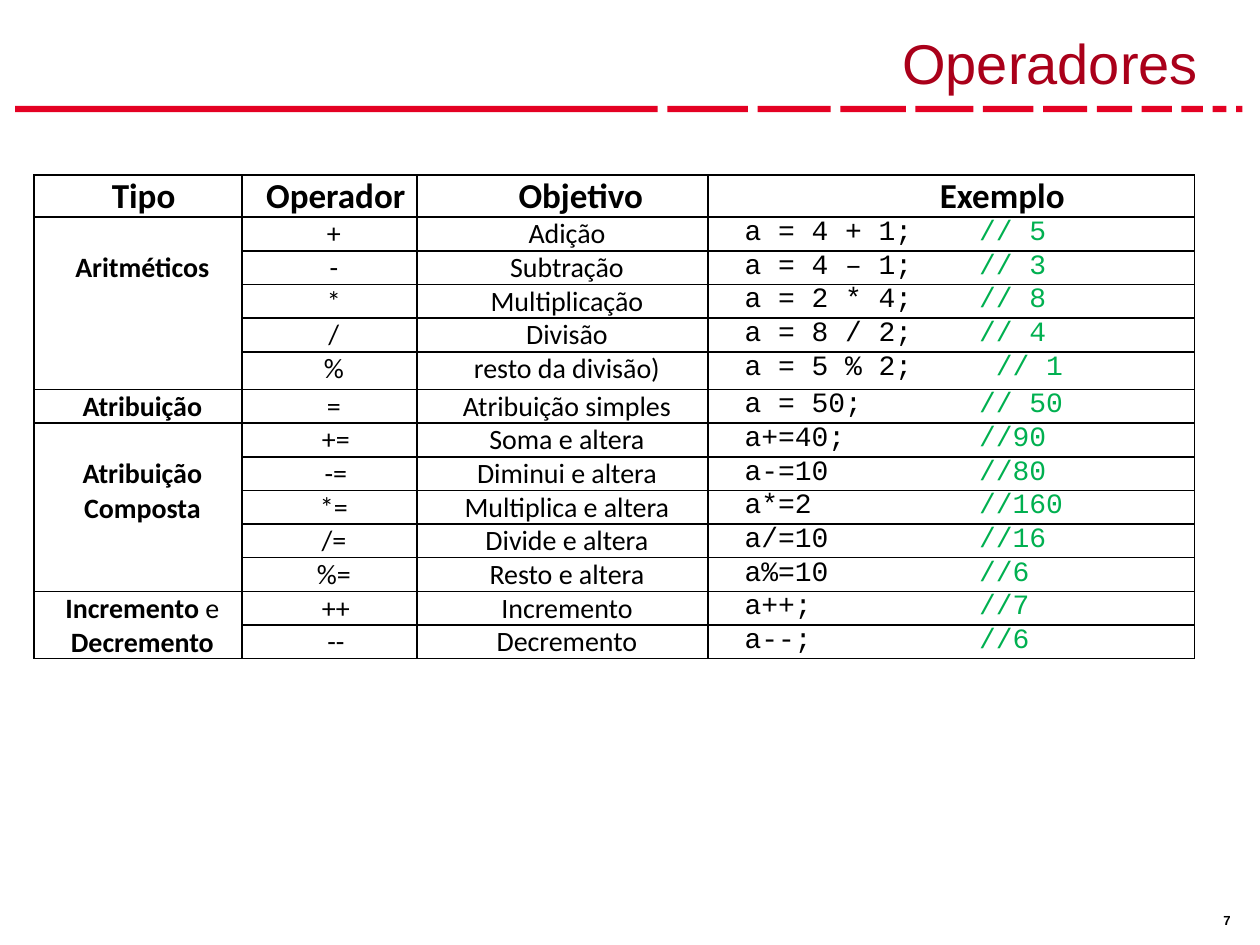
from lxml import etree
from pptx import Presentation
from pptx.oxml.ns import qn
from pptx.dml.color import RGBColor
from pptx.util import Inches, Pt
from pptx.enum import shapes, text

COLORS = {"ink": "000000", "paper": "FFFFFF", "bar": "E40123",
          "title": "AA001A", "comment": "00B050"}
COLUMNS, ROWS = 100, 75  # square grid over the slide
WIDTH, HEIGHT = Inches(10), Inches(7.5)

HEADINGS = ["Tipo", "Operador", "Objetivo", "Exemplo"]
HEADING_INDENTS = [0.9, 1, 2.9, 8.1]
COLUMN_SHARES = [16.5, 13.9, 23.1, 38.6]
CODE_WIDTH = 14  # characters before the comment

# Type runs (text, bold), empty lines above, operators of that type
GROUPS = [
    ([("Aritméticos", True)], 1, [
        ("+", "Adição", "a = 4 + 1;", "// 5"),
        ("-", "Subtração", "a = 4 – 1;", "// 3"),
        ("*", "Multiplicação", "a = 2 * 4;", "// 8"),
        ("/", "Divisão", "a = 8 / 2;", "// 4"),
        ("%", "resto da divisão)", "a = 5 % 2;", " // 1")]),
    ([("Atribuição", True)], 0, [
        ("=", "Atribuição simples", "a = 50;", "// 50")]),
    ([("Atribuição Composta", True)], 1, [
        ("+=", "Soma e altera", "a+=40;", "//90"),
        ("-=", "Diminui e altera", "a-=10", "//80"),
        ("*=", "Multiplica e altera", "a*=2", "//160"),
        ("/=", "Divide e altera", "a/=10", "//16"),
        ("%=", "Resto e altera", "a%=10", "//6")]),
    ([("Incremento ", True), ("e ", False), ("Decremento", True)], 0, [
        ("++", "Incremento", "a++;", "//7"),
        ("--", "Decremento", "a--;", "//6")]),
]


def across(columns):
    return round(WIDTH * columns / COLUMNS)


def down(rows):
    return round(HEIGHT * rows / ROWS)


def place(box):
    left, top, width, height = box
    return across(left), down(top), across(width), down(height)


def rgb(name):
    return RGBColor.from_string(COLORS[name])


def style(font, size, face, color="ink", bold=False):
    font.size, font.name, font.bold = Pt(size), face, bold
    font.color.rgb = rgb(color)


def add_label(slide, box, words, size, color, align, anchor, insets, bold=False):
    frame = slide.shapes.add_textbox(*place(box)).text_frame
    frame.word_wrap = True
    frame.vertical_anchor = anchor
    frame.margin_left, frame.margin_right = map(across, insets[:2])
    frame.margin_top = frame.margin_bottom = down(insets[2])
    line = frame.paragraphs[0]
    line.text, line.alignment = words, align
    style(line.font, size, "Arial", color, bold)


def add_dashes(slide, box):
    """Row of bars that get shorter towards the right, with equal gaps."""
    left, top, width, height = box
    lengths = [51, 6.4, 5.8, 5.2, 4.6, 4, 3.5, 2.8, 2.4, 1.7, 1.1, 0.5]
    gap = (width - sum(lengths)) / (len(lengths) - 1)
    for length in lengths:
        dash = slide.shapes.add_shape(shapes.MSO_SHAPE.RECTANGLE,
                                      *place((left, top, length, height)))
        dash.shadow.inherit = False
        dash.fill.solid()
        dash.fill.fore_color.rgb = rgb("bar")
        dash.line.fill.background()
        left += length + gap


def frame_cell(cell):
    """White cell with thin black borders and no insets."""
    cell.fill.solid()
    cell.fill.fore_color.rgb = rgb("paper")
    cell.margin_left = cell.margin_right = 0
    cell.margin_top = cell.margin_bottom = 0
    properties = cell._tc.get_or_add_tcPr()
    for order, side in enumerate(["lnL", "lnR", "lnT", "lnB"]):
        border = etree.Element(qn(f"a:{side}"), w=str(Pt(1)))
        paint = etree.SubElement(border, qn("a:solidFill"))
        etree.SubElement(paint, qn("a:srgbClr"), val=COLORS["ink"])
        properties.insert(order, border)


def write_cell(cell, runs, indent=0.7, size=16, face="Calibri", centred=True):
    """Runs are (text, bold, color)."""
    cell.margin_left = across(indent)
    line = cell.text_frame.paragraphs[0]
    line.alignment = text.PP_ALIGN.CENTER if centred else text.PP_ALIGN.LEFT
    line.font.size, line.font.name = Pt(size), face
    for words, bold, color in runs:
        run = line.add_run()
        run.text = words
        style(run.font, size, face, color, bold)


def add_operators(slide, box):
    width = box[2]
    count = 1 + sum(len(operators) for _, _, operators in GROUPS)
    table = slide.shapes.add_table(count, len(HEADINGS), *place(box)).table
    for column, share in zip(table.columns, COLUMN_SHARES):
        column.width = across(width * share / sum(COLUMN_SHARES))
    for row in table.rows:
        row.height = down(2.6)
    table.rows[0].height = down(3.3)
    table.rows[5].height = down(3)
    for cell in table.iter_cells():
        frame_cell(cell)

    # Headings
    for column, (heading, indent) in enumerate(zip(HEADINGS, HEADING_INDENTS)):
        write_cell(table.cell(0, column), [(heading, True, "ink")], indent, 20)

    # One merged type cell for each group of operators
    row = 1
    for kind, lines_above, operators in GROUPS:
        kind_cell = table.cell(row, 0)
        if len(operators) > 1:
            kind_cell.merge(table.cell(row + len(operators) - 1, 0))
        kind_cell.margin_top = down(2.7 * lines_above)
        write_cell(kind_cell, [(words, bold, "ink") for words, bold in kind])
        for operator, purpose, code, comment in operators:
            write_cell(table.cell(row, 1), [(operator, False, "ink")],
                       1 if operator in ("+=", "-=", "++", "--") else 0.7)
            write_cell(table.cell(row, 2), [(purpose, False, "ink")])
            write_cell(table.cell(row, 3),
                       [(code.ljust(CODE_WIDTH), False, "ink"),
                        (comment, False, "comment")],
                       2.9, face="Courier New", centred=False)
            row += 1


def main():
    deck = Presentation()
    deck.slide_width, deck.slide_height = WIDTH, HEIGHT
    slide = deck.slides.add_slide(deck.slide_layouts[6])
    add_dashes(slide, (1.2, 8.4, 97.4, 0.5))
    # Page number
    add_label(slide, (96.3, 72, 3.3, 2), "7", 7.5, "ink", text.PP_ALIGN.LEFT,
              text.MSO_ANCHOR.TOP, (0.8, 0.8, 0.4), bold=True)
    add_operators(slide, (2.7, 13.9, 92.1, 38.3))
    # Title
    add_label(slide, (3.1, 0.8, 94.2, 7.3), "Operadores", 32, "title",
              text.PP_ALIGN.RIGHT, text.MSO_ANCHOR.BOTTOM, (1, 2.2, 0.5))
    deck.save("out.pptx")


if __name__ == "__main__":
    main()
